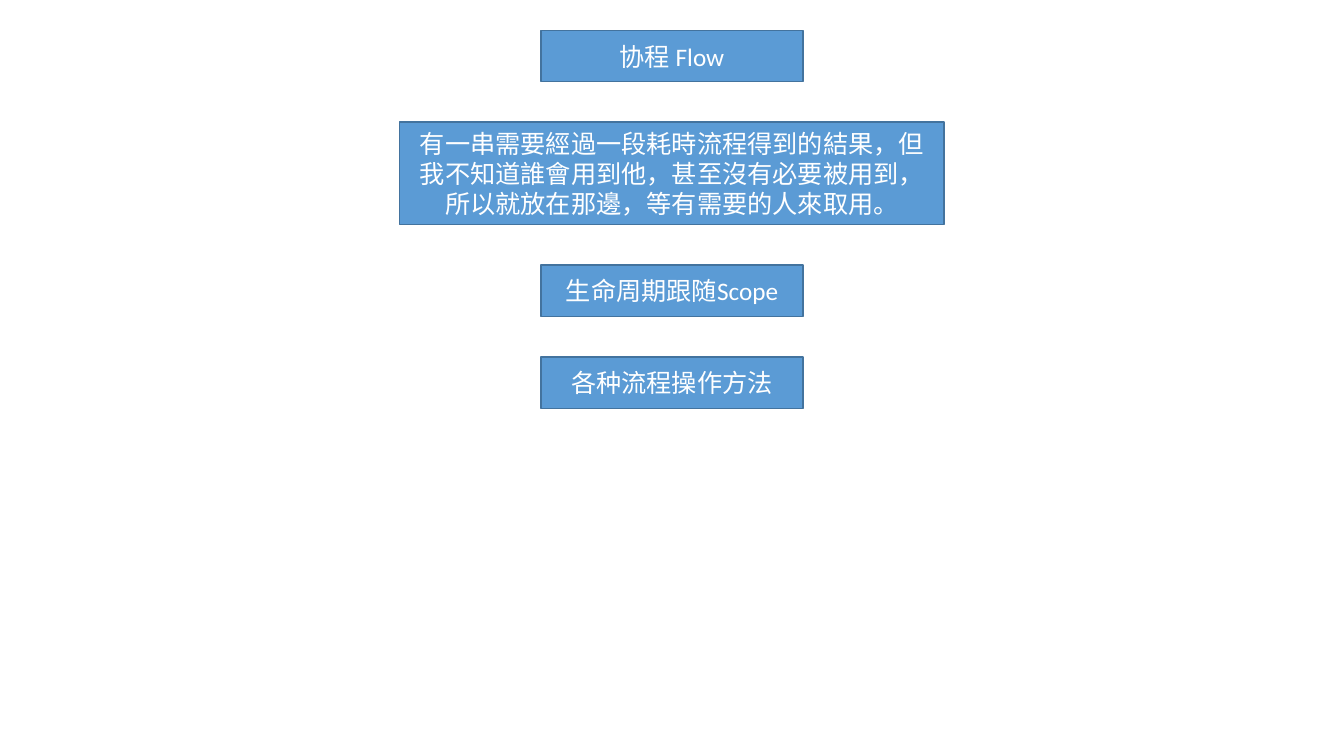
from dataclasses import dataclass

from pptx import Presentation
from pptx.dml.color import RGBColor
from pptx.enum.shapes import MSO_SHAPE
from pptx.enum.text import MSO_ANCHOR, PP_ALIGN
from pptx.slide import Slide
from pptx.util import Inches, Pt

RECTANGLE = MSO_SHAPE.RECTANGLE
MIDDLE = MSO_ANCHOR.MIDDLE
CENTER = PP_ALIGN.CENTER

BLUE = RGBColor(0x5B, 0x9B, 0xD5)
DARK_BLUE = RGBColor(0x43, 0x73, 0x9E)
WHITE = RGBColor(0xFF, 0xFF, 0xFF)

SLIDE_WIDTH = 13.33
SLIDE_HEIGHT = 7.5
FIRST_TOP = 0.3
GAP = 0.4


@dataclass
class Box:
    text: str
    width: float = 2.6
    height: float = 0.51


BOXES = [
    Box("协程 Flow"),
    Box(
        "有一串需要經過一段耗時流程得到的結果，但我不知道誰會用到他，"
        "甚至沒有必要被用到，所以就放在那邊，等有需要的人來取用。",
        width=5.4,
        height=1.02,
    ),
    Box("生命周期跟随Scope"),
    Box("各种流程操作方法"),
]


def add_box(s: Slide, box: Box, top: float) -> None:
    """Draw a horizontally centred box with its label."""
    left = (SLIDE_WIDTH - box.width) / 2
    sp = s.shapes.add_shape(
        RECTANGLE, Inches(left), Inches(top), Inches(box.width), Inches(box.height)
    )
    sp.shadow.inherit = False
    sp.fill.solid()
    sp.fill.fore_color.rgb = BLUE
    sp.line.color.rgb = DARK_BLUE
    sp.line.width = Pt(1)

    tf = sp.text_frame
    tf.word_wrap = True
    tf.vertical_anchor = MIDDLE
    tf.text = box.text
    p = tf.paragraphs[0]
    p.alignment = CENTER
    r = p.runs[0]
    r.font.name = "Calibri"
    r.font.size = Pt(18)
    r.font.color.rgb = WHITE


# Slide
prs = Presentation()
prs.slide_width = Inches(SLIDE_WIDTH)
prs.slide_height = Inches(SLIDE_HEIGHT)
s = prs.slides.add_slide(prs.slide_layouts[6])

# Boxes stacked with equal gaps
top = FIRST_TOP
for box in BOXES:
    add_box(s, box, top)
    top += box.height + GAP

prs.save("out.pptx")
